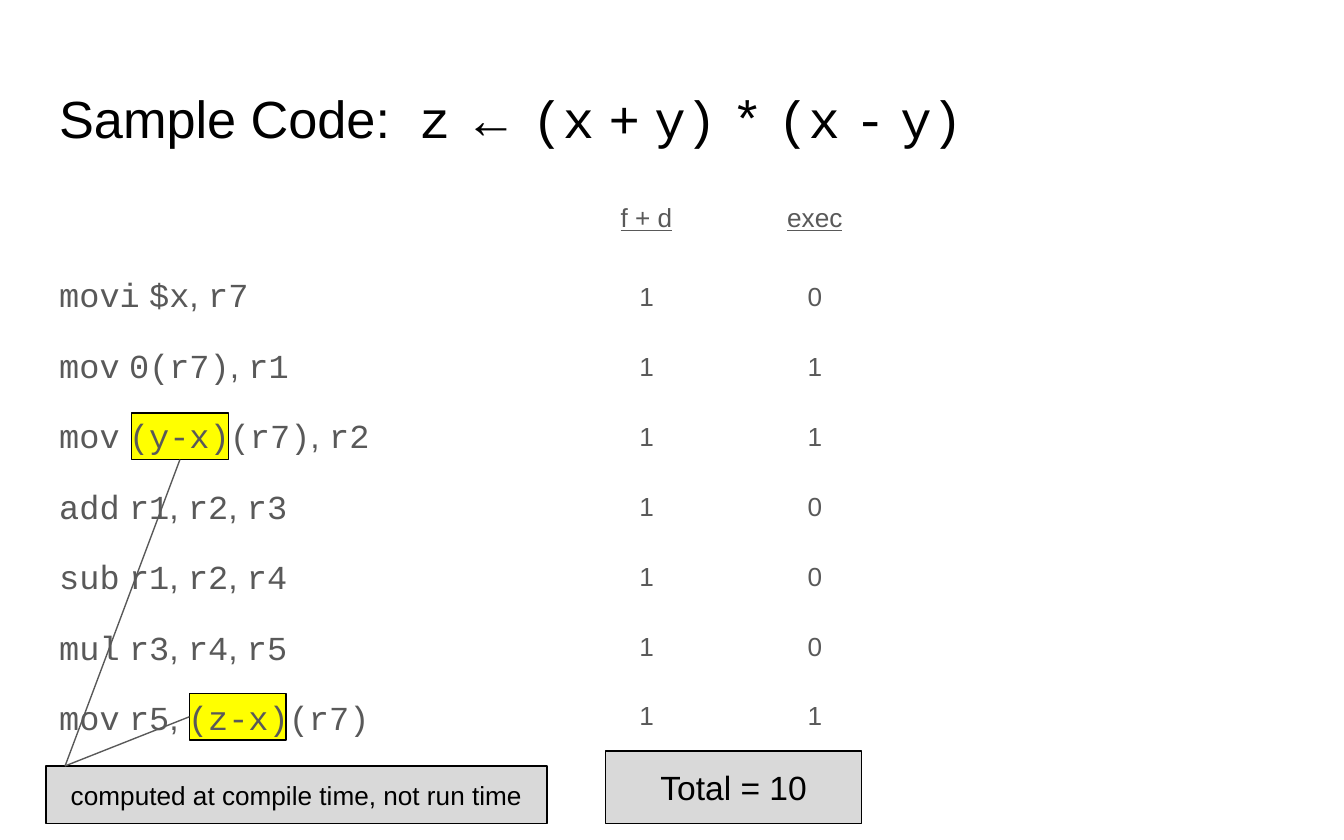
from itertools import groupby

from lxml import etree
from pptx import Presentation
from pptx import util as u
from pptx.dml.color import RGBColor
from pptx.enum import shapes, text
from pptx.oxml.ns import qn

COLOURS = {"ink": "000000", "body": "595959", "mark": "FFFF00", "note": "D9D9D9"}
SANS, MONO = "Arial", "Courier New"

INSTRUCTIONS = [
    ("movi $x, r7", 1, 0),
    ("mov 0(r7), r1", 1, 1),
    ("mov (y-x)(r7), r2", 1, 1),
    ("add r1, r2, r3", 1, 0),
    ("sub r1, r2, r4", 1, 0),
    ("mul r3, r4, r5", 1, 0),
    ("mov r5, (z-x)(r7)", 1, 1),
]


def code_runs(code):
    """Split code into (text, font) runs; separators are set in the sans font."""
    return [("".join(chars), SANS if is_separator else MONO)
            for is_separator, chars in groupby(code, lambda char: char in " ,←")]


class SlideBuilder:
    """Holds the current slide and its colours; lengths are in centimetres."""

    def __init__(self, slide, colours):
        self.slide = slide
        self.colours = colours

    def rgb(self, name):
        return RGBColor.from_string(self.colours[name])

    def add_runs(self, paragraph, runs, size, colour, underline=None):
        for wording, font in runs:
            run = paragraph.add_run()
            run.text = wording
            run.font.name = font
            run.font.size = u.Pt(size)
            run.font.color.rgb = self.rgb(colour)
            run.font.underline = underline

    def frame(self, shape, anchor):
        frame = shape.text_frame
        frame.word_wrap = True
        frame.vertical_anchor = anchor
        frame.margin_left = frame.margin_right = u.Cm(0.25)
        frame.margin_top = frame.margin_bottom = u.Cm(0.25)
        return frame

    def text_box(self, box, lines, size, colour, spacing=None, tab=None):
        """Add left-aligned lines, each a list of runs; tab is an optional stop."""
        shape = self.slide.shapes.add_textbox(*map(u.Cm, box))
        frame = self.frame(shape, text.MSO_ANCHOR.TOP)
        for index, runs in enumerate(lines):
            paragraph = frame.add_paragraph() if index else frame.paragraphs[0]
            paragraph.line_spacing = spacing
            if tab:
                stops = etree.SubElement(paragraph._p.get_or_add_pPr(), qn("a:tabLst"))
                etree.SubElement(stops, qn("a:tab"), pos=str(u.Cm(tab)), algn="l")
            self.add_runs(paragraph, runs, size, colour)

    def cell(self, box, wording, underline=None):
        shape = self.slide.shapes.add_textbox(*map(u.Cm, box))
        paragraph = self.frame(shape, text.MSO_ANCHOR.MIDDLE).paragraphs[0]
        paragraph.alignment = text.PP_ALIGN.CENTER
        self.add_runs(paragraph, [(wording, SANS)], 14, "body", underline)

    def rectangle(self, box, fill, wording="", size=14):
        shape = self.slide.shapes.add_shape(shapes.MSO_SHAPE.RECTANGLE, *map(u.Cm, box))
        shape.shadow.inherit = False
        shape.fill.solid()
        shape.fill.fore_color.rgb = self.rgb(fill)
        shape.line.color.rgb = self.rgb("ink")
        shape.line.width = u.Pt(0.75)
        if wording:
            paragraph = self.frame(shape, text.MSO_ANCHOR.MIDDLE).paragraphs[0]
            paragraph.alignment = text.PP_ALIGN.CENTER
            self.add_runs(paragraph, [(wording, SANS)], size, "ink")

    def line(self, start, end):
        connector = self.slide.shapes.add_connector(
            shapes.MSO_CONNECTOR.STRAIGHT, *map(u.Cm, start + end))
        connector.line.color.rgb = self.rgb("body")
        connector.line.width = u.Pt(0.75)
        etree.SubElement(connector._element.spPr, qn("a:effectLst"))


def main():
    deck = Presentation()
    deck.slide_width, deck.slide_height = u.Cm(25.4), u.Cm(15.88)
    builder = SlideBuilder(deck.slides.add_slide(deck.slide_layouts[6]), COLOURS)

    for left, top in ((2.49, 7.81), (3.58, 13.11)):
        builder.rectangle((left, top, 1.83, 0.88), "mark")

    builder.text_box((0.87, 4.36, 9.5, 9.75),
                     [code_runs(code) for code, *_ in INSTRUCTIONS],
                     18, "body", spacing=1.75)
    title = [("Sample Code:\t", SANS)] + code_runs("z ← (x + y) * (x - y)")
    builder.text_box((0.87, 1.39, 23.67, 1.77), [title], 28, "ink", tab=6.8)

    for column, header in enumerate(("f + d", "exec")):
        left = 9.87 + 3.18 * column
        builder.cell((left, 3.76, 4.7, 0.69), header, underline=True)
        for row, (_, *counts) in enumerate(INSTRUCTIONS):
            builder.cell((left, 5.26 + 1.32 * row, 4.7, 0.69), str(counts[column]))

    builder.rectangle((11.45, 14.2, 4.83, 1.37), "note", "Total = 10", 18)
    builder.rectangle((0.87, 14.48, 9.47, 1.09), "note",
                      "computed at compile time, not run time")
    for start in ((3.4, 8.69), (3.58, 13.55)):
        builder.line(start, (1.23, 14.48))

    deck.save("out.pptx")


if __name__ == "__main__":
    main()
